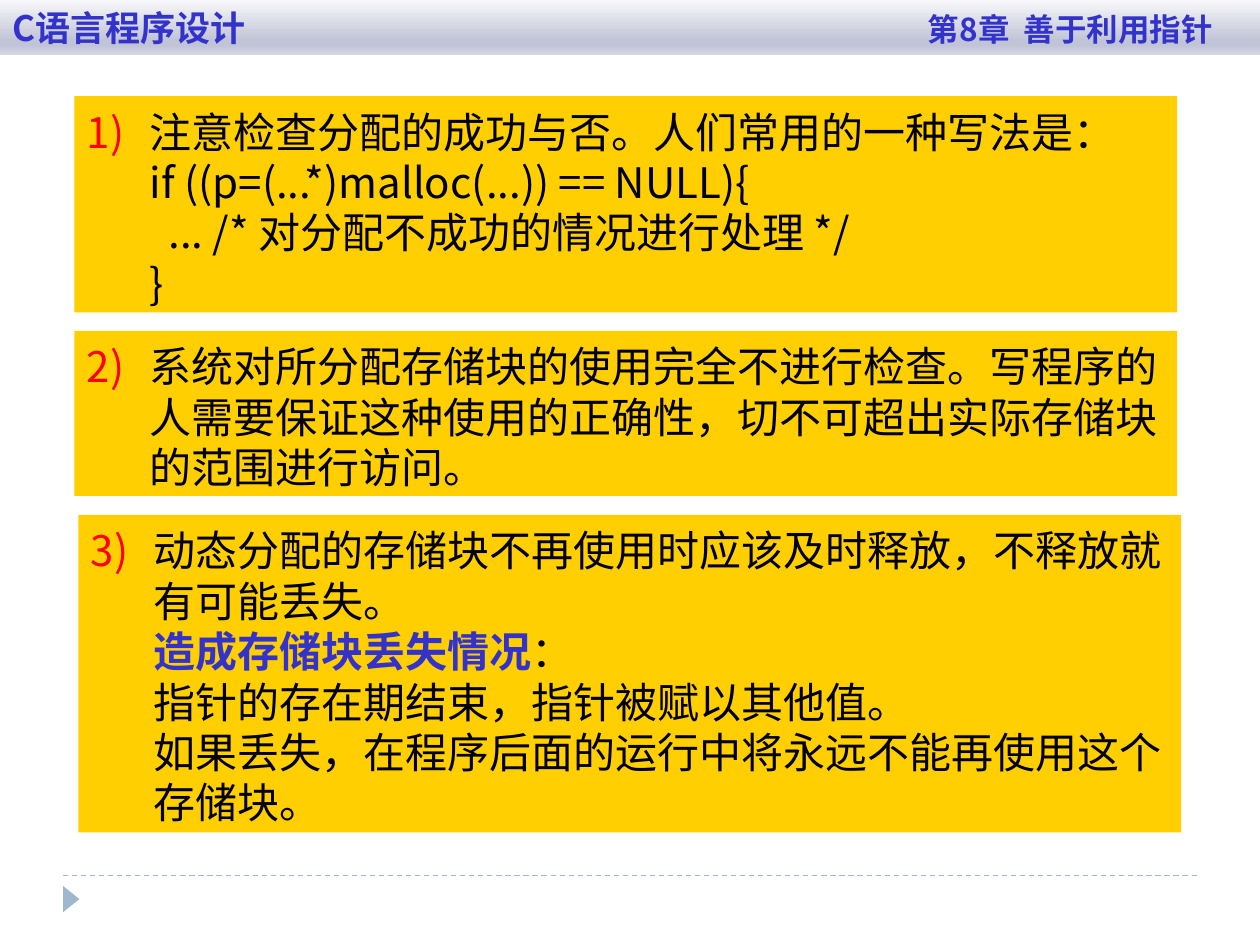
from dataclasses import dataclass

import lxml.etree
import pptx
import pptx.dml.color
import pptx.enum.dml
import pptx.enum.shapes
import pptx.enum.text
import pptx.oxml.ns
import pptx.util

Cm = pptx.util.Cm
Pt = pptx.util.Pt
SHAPES = pptx.enum.shapes.MSO_SHAPE
ANCHORS = pptx.enum.text.MSO_ANCHOR


@dataclass(frozen=True)
class Theme:
    font: str = "Noto Sans CJK JP"
    ink: str = "000000"
    accent: str = "3333CC"
    number: str = "FF0000"
    panel: str = "FFCF01"
    footer: str = "9FB8CD"
    banner: tuple = ((0, "F8F8FA"), (74, "C0C4D6"), (83, "C0C4D6"), (100, "D5D8E3"))
    title_size: int = 20
    chapter_size: int = 18
    body_size: int = 24
    line_pitch: float = 28.8


def rgb(value):
    return pptx.dml.color.RGBColor.from_string(value)


def add_element(parent, tag, **attributes):
    element = lxml.etree.SubElement(parent, pptx.oxml.ns.qn(tag))
    for name, value in attributes.items():
        element.set(name, str(value))
    return element


def add_text(paragraph, text, *, font, size, color, bold=False):
    """Append formatted text; each newline becomes a line break."""
    for index, line in enumerate(text.split("\n")):
        if index:
            paragraph.add_line_break()
        if not line:
            continue
        run = paragraph.add_run()
        run.text = line
        run.font.size = Pt(size)
        run.font.bold = bold
        run.font.color.rgb = rgb(color)
        run.font.name = font
        add_element(run.font._element, "a:ea", typeface=font)


class SlideBuilder:
    def __init__(self, slide, theme):
        self.slide = slide
        self.theme = theme

    def shape(self, kind, left, top, width, height, color=None):
        shape = self.slide.shapes.add_shape(
            kind, Cm(left), Cm(top), Cm(width), Cm(height))
        shape.shadow.inherit = False
        shape.line.fill.background()
        if color:
            shape.fill.solid()
            shape.fill.fore_color.rgb = rgb(color)
        return shape

    def text_start(self, shape, anchor):
        """Prepare the text frame and return its first paragraph."""
        frame = shape.text_frame
        frame.word_wrap = True
        frame.vertical_anchor = anchor
        paragraph = frame.paragraphs[0]
        paragraph.alignment = pptx.enum.text.PP_ALIGN.LEFT
        return paragraph

    def banner(self, title, chapter):
        theme = self.theme
        shape = self.shape(SHAPES.RECTANGLE, 0, 0, 25.4, 1.11)
        shape.fill.gradient()
        shape.fill.gradient_angle = 270
        stops = shape._element.spPr.find(".//" + pptx.oxml.ns.qn("a:gsLst"))
        for stop in list(stops):
            stops.remove(stop)
        for percent, color in theme.banner:
            stop = add_element(stops, "a:gs", pos=percent * 1000)
            add_element(stop, "a:srgbClr", val=color)

        paragraph = self.text_start(shape, ANCHORS.MIDDLE)
        tabs = add_element(paragraph._p.get_or_add_pPr(), "a:tabLst")
        add_element(tabs, "a:tab", pos=Cm(24.2), algn="r")
        style = dict(font=theme.font, color=theme.accent, bold=True)
        add_text(paragraph, title + "\t", size=theme.title_size, **style)
        add_text(paragraph, chapter, size=theme.chapter_size, **style)

    def numbered_panel(self, number, left, top, height, parts):
        """Draw a panel; parts are (text, is_emphasised) pairs."""
        theme = self.theme
        shape = self.shape(SHAPES.RECTANGLE, left, top, 22.23, height, theme.panel)
        paragraph = self.text_start(shape, ANCHORS.TOP)
        shape.text_frame.margin_top = Cm(0.2)
        properties = paragraph._p.get_or_add_pPr()
        properties.set("marL", str(Cm(1.27)))
        properties.set("indent", str(-Cm(1.27)))
        bullet_color = add_element(properties, "a:buClr")
        add_element(bullet_color, "a:srgbClr", val=theme.number)
        add_element(properties, "a:buFont", typeface=theme.font)
        add_element(properties, "a:buAutoNum", type="arabicParenR", startAt=number)
        paragraph.line_spacing = Pt(theme.line_pitch)
        for text, emphasised in parts:
            add_text(paragraph, text, font=theme.font, size=theme.body_size,
                     color=theme.accent if emphasised else theme.ink,
                     bold=emphasised)

    def footer(self):
        color = self.theme.footer
        rule = self.slide.shapes.add_connector(
            pptx.enum.shapes.MSO_CONNECTOR.STRAIGHT,
            Cm(1.27), Cm(17.65), Cm(24.13), Cm(17.65))
        rule.line.color.rgb = rgb(color)
        rule.line.width = Pt(0.75)
        rule.line.dash_style = pptx.enum.dml.MSO_LINE.DASH
        add_element(rule._element.spPr, "a:effectLst")
        marker = self.shape(SHAPES.ISOSCELES_TRIANGLE, 1.17, 17.96, 0.53, 0.33, color)
        marker.rotation = 90


PANELS = [
    (1.5, 1.94, 4.36, [
        ("注意检查分配的成功与否。人们常用的一种写法是：\n"
         "if ((p=(...*)malloc(...)) == NULL){\n"
         "  ...\t/* 对分配不成功的情况进行处理 */\n"
         "}", False)]),
    (1.5, 6.67, 3.33, [
        ("系统对所分配存储块的使用完全不进行检查。写程序的人需要保证这种使用的正确性，"
         "切不可超出实际存储块的范围进行访问。", False)]),
    (1.58, 10.38, 6.4, [
        ("动态分配的存储块不再使用时应该及时释放，不释放就有可能丢失。\n", False),
        ("造成存储块丢失情况", True),
        ("：\n指针的存在期结束，指针被赋以其他值。\n"
         "如果丢失，在程序后面的运行中将永远不能再使用这个存储块。", False)]),
]


def main():
    presentation = pptx.Presentation()
    presentation.slide_width = Cm(25.4)
    presentation.slide_height = Cm(19.05)
    slide = presentation.slides.add_slide(presentation.slide_layouts[6])
    builder = SlideBuilder(slide, Theme())
    builder.footer()
    builder.banner("C语言程序设计", "第8章  善于利用指针")
    for number, (left, top, height, parts) in enumerate(PANELS, start=1):
        builder.numbered_panel(number, left, top, height, parts)
    presentation.save("out.pptx")


if __name__ == "__main__":
    main()
